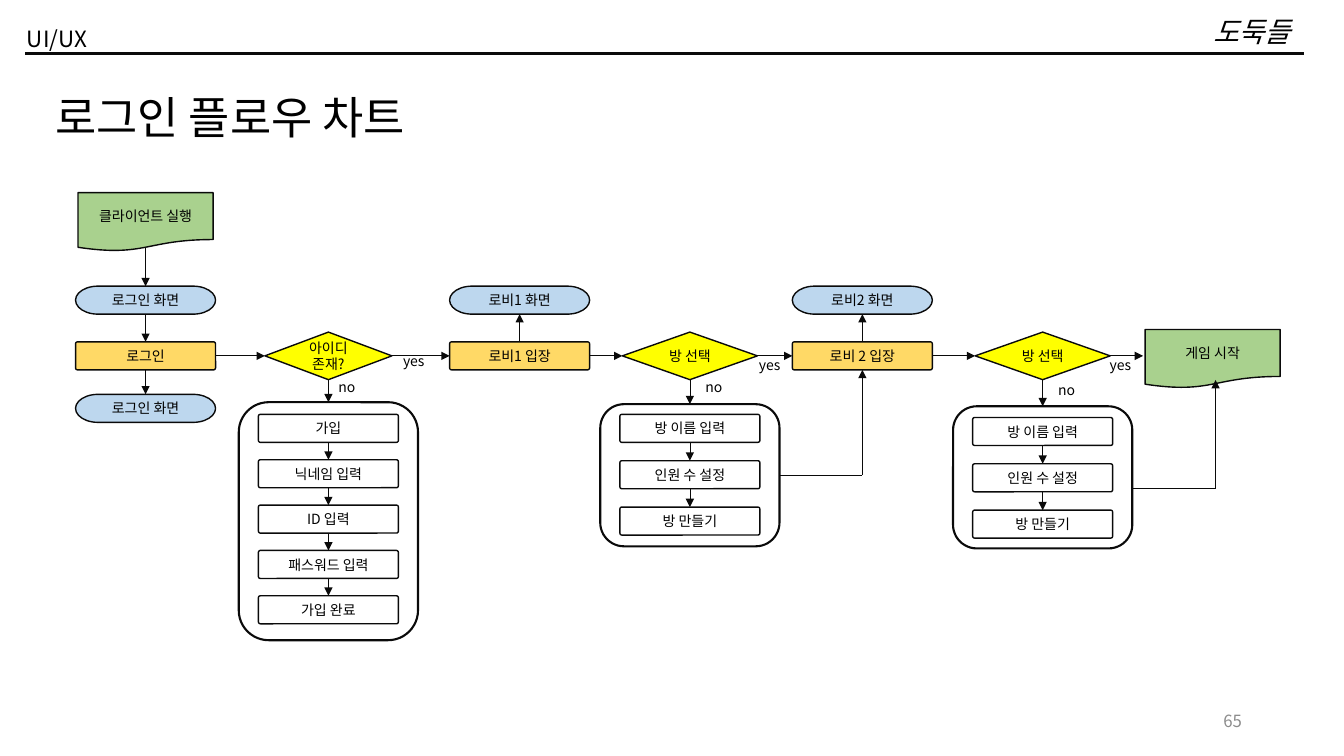
"""Build the login flow chart slide."""
import pptx
import pptx.dml.color
import pptx.enum.shapes
import pptx.enum.text
import pptx.oxml
import pptx.oxml.ns
import pptx.util

Pt = pptx.util.Pt
SHAPES = pptx.enum.shapes.MSO_SHAPE
ANCHORS = pptx.enum.text.MSO_ANCHOR
ALIGNMENTS = pptx.enum.text.PP_ALIGN
FONT = "Noto Sans CJK KR"
BLACK, INK = "000000", "0A0A0A"
TOP, LEFT, BOTTOM, RIGHT = range(4)

STYLES = {
    "document": (SHAPES.FLOWCHART_DOCUMENT, 96.5, 41.8, "A9D18E", 1),
    "screen": (SHAPES.FLOWCHART_TERMINATOR, 100, 20, "BDD7EE", 1),
    "action": (SHAPES.ROUNDED_RECTANGLE, 100, 20, "FFD966", 1),
    "check": (SHAPES.FLOWCHART_DECISION, 90.7, 34, "FFFF00", 1),
    "choice": (SHAPES.FLOWCHART_DECISION, 96.5, 34, "FFFF00", 1),
    "step": (SHAPES.ROUNDED_RECTANGLE, 100, 20, None, 1),
    "long panel": (SHAPES.ROUNDED_RECTANGLE, 128, 170, None, 1.5),
    "panel": (SHAPES.ROUNDED_RECTANGLE, 128, 101.5, None, 1.5),
}
MAIN_Y, SCREEN_Y = 254.2, 214.4
LOGIN_X, ID_X, LOBBY1_X, ROOM1_X, LOBBY2_X, ROOM2_X, GAME_X = 104, 234.6, 371.2, 492.8, 616, 744.8, 866.2
NODES = {
    "start": ("document", LOGIN_X, 158.5, "클라이언트 실행"),
    "login screen": ("screen", LOGIN_X, SCREEN_Y, "로그인 화면"),
    "login": ("action", LOGIN_X, MAIN_Y, "로그인"),
    "result screen": ("screen", LOGIN_X, 291.7, "로그인 화면"),
    "id": ("check", ID_X, MAIN_Y, "아이디\v존재?"),
    "lobby 1 screen": ("screen", LOBBY1_X, SCREEN_Y, "로비1 화면"),
    "lobby 1": ("action", LOBBY1_X, MAIN_Y, "로비1 입장"),
    "room 1": ("choice", ROOM1_X, MAIN_Y, "방 선택"),
    "lobby 2 screen": ("screen", LOBBY2_X, SCREEN_Y, "로비2 화면"),
    "lobby 2": ("action", LOBBY2_X, MAIN_Y, "로비 2 입장"),
    "room 2": ("choice", ROOM2_X, MAIN_Y, "방 선택"),
    "game": ("document", GAME_X, 256.3, "게임 시작"),
}
ROOM_STEPS = ["방 이름 입력", "인원 수 설정", "방 만들기"]
PANELS = [
    ("id", "long panel", 287.3, 306, 32.4, ["가입", "닉네임 입력", "ID 입력", "패스워드 입력", "가입 완료"]),
    ("room 1", "panel", 288.7, 306, 33.1, ROOM_STEPS),
    ("room 2", "panel", 290.2, 308.2, 33.1, ROOM_STEPS),
]
ARROWS = [
    ("login screen", BOTTOM, "login", TOP),
    ("login", BOTTOM, "result screen", TOP),
    ("login", RIGHT, "id", LEFT),
    ("id", RIGHT, "lobby 1", LEFT),
    ("lobby 1", TOP, "lobby 1 screen", BOTTOM),
    ("lobby 1", RIGHT, "room 1", LEFT),
    ("room 1", RIGHT, "lobby 2", LEFT),
    ("lobby 2", TOP, "lobby 2 screen", BOTTOM),
    ("lobby 2", RIGHT, "room 2", LEFT),
]
HEADINGS = [
    ("65", (678.2, 500.4, 216, 28.8), 12, "8C8C8C", ANCHORS.MIDDLE, ALIGNMENTS.RIGHT, {}),
    ("UI/UX", (12.2, 14.4, 60.5, 26.6), 16, BLACK, ANCHORS.TOP, ALIGNMENTS.LEFT, {}),
    ("도둑들", (851, 9.4, 86.4, 28.8), 20, BLACK, ANCHORS.BOTTOM, ALIGNMENTS.CENTER, {"italic": True}),
    ("로그인 플로우 차트", (32.4, 60.5, 293.8, 46), 32, BLACK, ANCHORS.TOP, ALIGNMENTS.JUSTIFY, {}),
]
BRANCH_LABELS = [
    ("no", 234.7, 267.1), ("yes", 280.8, 248.4), ("yes", 535, 251.3),
    ("no", 496.8, 267.1), ("yes", 785.5, 251.3), ("no", 748.8, 269.3),
]


def color(value):
    return pptx.dml.color.RGBColor.from_string(value)


def apply(target, values):
    for name, value in values.items():
        setattr(target, name, value)


def write(shape, text, size, text_color, anchor, alignment, frame_format, font_format):
    frame = shape.text_frame
    apply(frame, {"vertical_anchor": anchor, **frame_format})
    paragraph = frame.paragraphs[0]
    paragraph.text = text
    paragraph.alignment = alignment
    for run in paragraph.runs:
        apply(run.font, {"name": FONT, "size": Pt(size), **font_format})
        run.font.color.rgb = color(text_color)
        east_asian = pptx.oxml.ns.qn("a:ea")
        run.font._element.makeelement(east_asian)
        run.font._element.append(run.font._element.makeelement(east_asian, {"typeface": FONT}))


def add_label(slide, text, box, size, text_color, anchor, alignment, font_format, wrap):
    label = slide.shapes.add_textbox(*map(Pt, box))
    write(label, text, size, text_color, anchor, alignment, {"word_wrap": wrap}, font_format)
    return label


def add_node(slide, style, center_x, center_y, text=""):
    preset, width, height, fill, weight = STYLES[style]
    box = (center_x - width / 2, center_y - height / 2, width, height)
    shape = slide.shapes.add_shape(preset, *map(Pt, box))
    shape.shadow.inherit = False
    if fill:
        shape.fill.solid()
        shape.fill.fore_color.rgb = color(fill)
    else:
        shape.fill.background()
    shape.line.color.rgb = color(INK)
    shape.line.width = Pt(weight)
    if style in ("action", "step"):
        shape.adjustments[0] = 0.07
    if text:
        margins = {"margin_left": 0, "margin_right": 0, "margin_top": 0, "margin_bottom": 0}
        write(shape, text, 10, BLACK, ANCHORS.MIDDLE, ALIGNMENTS.CENTER, {"word_wrap": False, **margins}, {})
    return shape


def add_line(slide, start=(0, 0), end=(0, 0), weight=0.5, arrow=True):
    straight = pptx.enum.shapes.MSO_CONNECTOR.STRAIGHT
    connector = slide.shapes.add_connector(straight, *map(Pt, start + end))
    connector.line.color.rgb = color(INK)
    connector.line.width = Pt(weight)
    if arrow:
        outline = connector.line._get_or_add_ln()
        outline.append(outline.makeelement(pptx.oxml.ns.qn("a:tailEnd"), {"type": "triangle"}))
    properties = connector._element.spPr
    properties.append(properties.makeelement(pptx.oxml.ns.qn("a:effectLst")))
    return connector


def join(slide, source, source_side, target, target_side):
    connector = add_line(slide)
    connector.begin_connect(source, source_side)
    connector.end_connect(target, target_side)


def main():
    presentation = pptx.Presentation()
    presentation.slide_width, presentation.slide_height = Pt(960), Pt(540)
    slide = presentation.slides.add_slide(presentation.slide_layouts[6])

    add_line(slide, (18, 38.2), (931.7, 38.2), 1.75, False)
    for text, *heading in HEADINGS:
        label = add_label(slide, text, *heading, wrap=text != "UI/UX")
        if text == "도둑들":
            label.text_frame.paragraphs[0].line_spacing = 0.9

    nodes = {name: add_node(slide, *node) for name, node in NODES.items()}
    panels = {}
    for owner, style, top, first_y, pitch, texts in PANELS:
        center_x = NODES[owner][1]
        panels[owner] = add_node(slide, style, center_x, top + STYLES[style][2] / 2)
        steps = [add_node(slide, "step", center_x, first_y + index * pitch, text)
                 for index, text in enumerate(texts)]
        join(slide, nodes[owner], BOTTOM, panels[owner], TOP)
        for upper, lower in zip(steps, steps[1:]):
            join(slide, upper, BOTTOM, lower, TOP)
    for source, source_side, target, target_side in ARROWS:
        join(slide, nodes[source], source_side, nodes[target], target_side)

    add_line(slide, (LOGIN_X, 176.5), (LOGIN_X, SCREEN_Y - 10)).end_connect(nodes["login screen"], TOP)
    add_line(slide, (0, 0), (816.5, MAIN_Y)).begin_connect(nodes["room 2"], RIGHT)
    detour_y = 288.7 + STYLES["panel"][2] / 2
    add_line(slide, (0, 0), (LOBBY2_X, detour_y), arrow=False).begin_connect(panels["room 1"], RIGHT)
    add_line(slide, (LOBBY2_X, detour_y), (0, 0)).end_connect(nodes["lobby 2"], BOTTOM)
    add_line(slide, (808.8, 348.5), (868.3, 348.5), arrow=False)
    add_line(slide, (868.3, 348.5), (868.3, 271.4))

    for text, left, top in BRANCH_LABELS:
        box = (left, top, 26.6 if text == "no" else 30.2, 19.4)
        add_label(slide, text, box, 10, BLACK, ANCHORS.TOP, ALIGNMENTS.LEFT, {}, False)
    presentation.save("out.pptx")


if __name__ == "__main__":
    main()
